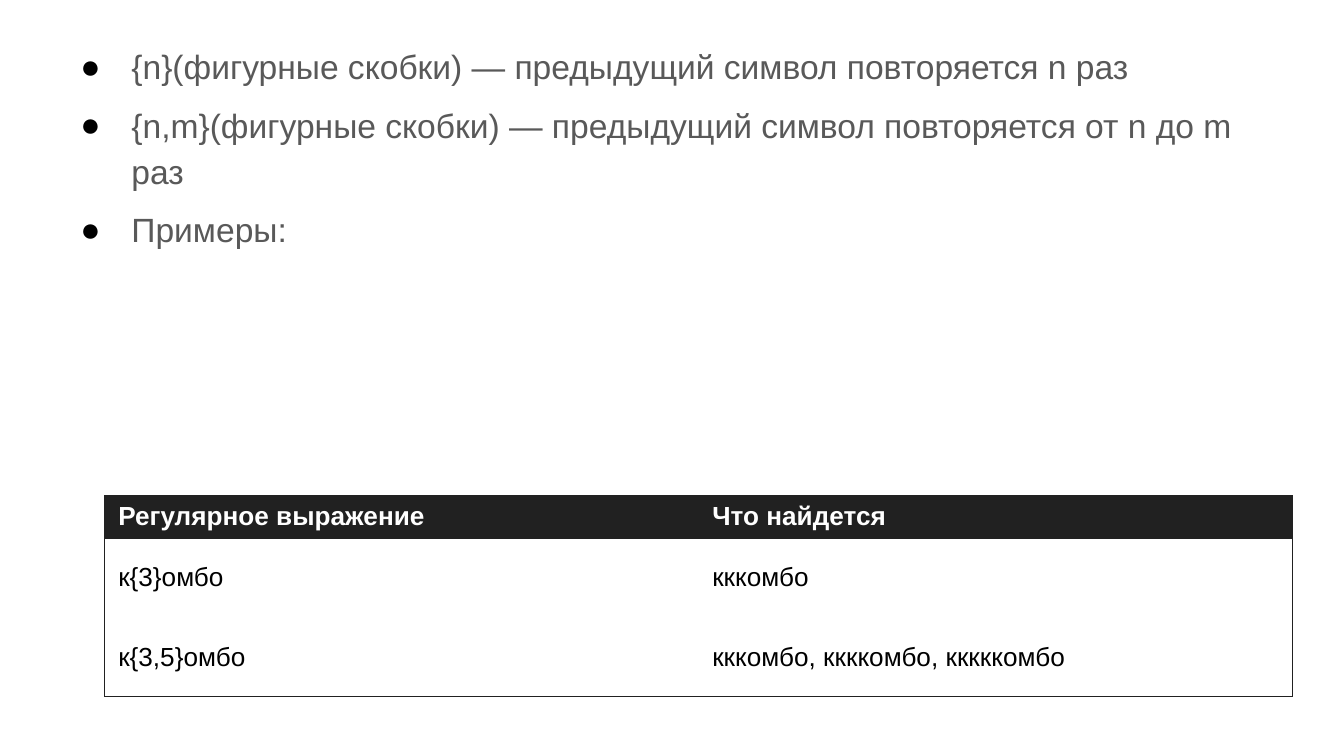
from lxml import etree
from pptx import Presentation
from pptx.dml.color import RGBColor
from pptx.enum import text
from pptx.oxml import ns
from pptx.util import Inches, Pt

DARK = "212121"


def color(value):
    return RGBColor.from_string(value)


def add_xml(parent, tag, **attributes):
    return etree.SubElement(parent, ns.qn(tag), attributes)


deck = Presentation()
deck.slide_width = Inches(10)
deck.slide_height = Inches(10 * 9 / 16)
slide = deck.slides.add_slide(deck.slide_layouts[6])

quantifiers = slide.shapes.add_textbox(Inches(0.5), Inches(0.25), Inches(9), Inches(3.71)).text_frame
quantifiers.word_wrap = True
quantifiers.text = "\n".join([
    "{n}(фигурные скобки) — предыдущий символ повторяется n раз",
    "{n,m}(фигурные скобки) — предыдущий символ повторяется от n до m раз",
    "Примеры:",
])
for index, rule in enumerate(quantifiers.paragraphs):
    rule.line_spacing = 1.15
    rule.space_before = Pt(6.4 if index else 0)
    rule.font.size = Pt(18)
    rule.font.name = "Arial"
    rule.font.color.rgb = color("595959")
    properties = rule._p.get_or_add_pPr()
    properties.set("marL", str(Inches(0.38)))
    properties.set("indent", str(-Inches(0.38)))
    bullet_color = add_xml(properties, "a:buClr")
    add_xml(bullet_color, "a:srgbClr", val="000000")
    add_xml(properties, "a:buFont", typeface="Arial")
    add_xml(properties, "a:buChar", char="●")
    properties.append(properties.find(ns.qn("a:defRPr")))

rows = [
    ("Регулярное выражение", "Что найдется"),
    ("к{3}омбо", "кккомбо"),
    ("к{3,5}омбо", "кккомбо, ккккомбо, кккккомбо"),
]
heights = [0.31, 0.59, 0.59]
examples = slide.shapes.add_table(
    len(rows), 2, Inches(0.78), Inches(3.69), Inches(8.84), Inches(sum(heights))
).table
examples.first_row = False
examples.horz_banding = False

for row, (entries, height) in enumerate(zip(rows, heights)):
    examples.rows[row].height = Inches(height)
    header = row == 0
    for column, entry in enumerate(entries):
        cell = examples.cell(row, column)
        cell.text = entry
        cell.margin_left = cell.margin_right = Inches(0.1)
        cell.margin_top = cell.margin_bottom = Inches(0.04 if header else 0)
        cell.vertical_anchor = text.MSO_ANCHOR.TOP if header else text.MSO_ANCHOR.MIDDLE
        font = cell.text_frame.paragraphs[0].font
        font.size = Pt(14)
        font.name = "Arial"
        font.bold = header
        font.color.rgb = color("FFFFFF" if header else "000000")

        borders = {
            "a:lnL": column == 0,
            "a:lnR": column == 1,
            "a:lnT": row <= 1,
            "a:lnB": row != 1,
        }
        for side, visible in borders.items():
            line = add_xml(cell._tc.get_or_add_tcPr(), side, w=str(Pt(0.75)))
            if visible:
                add_xml(add_xml(line, "a:solidFill"), "a:srgbClr", val=DARK)
            else:
                add_xml(line, "a:noFill")

        if header:
            cell.fill.solid()
            cell.fill.fore_color.rgb = color(DARK)
        else:
            cell.fill.background()

deck.save("out.pptx")
